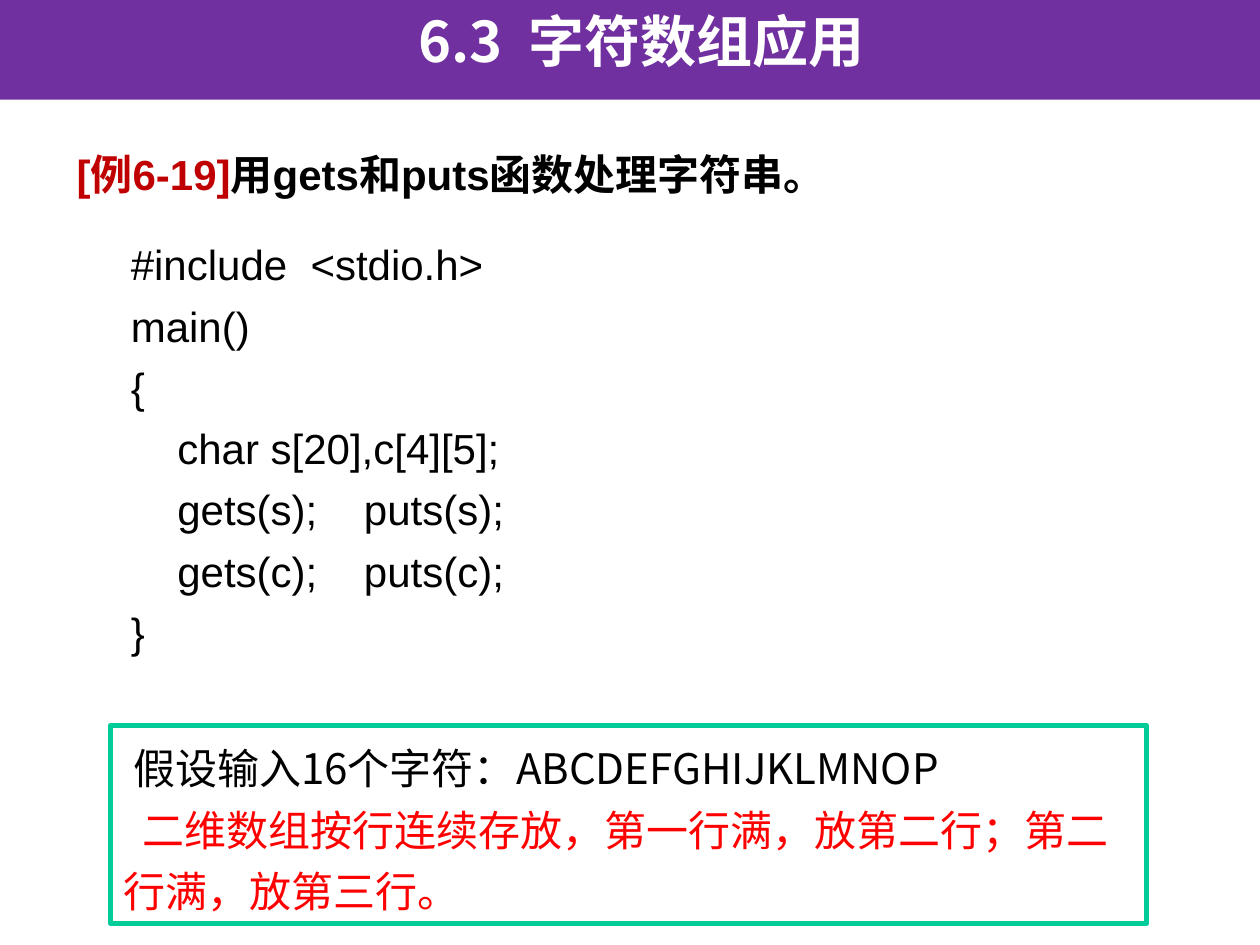
from dataclasses import dataclass

from lxml.etree import SubElement
from pptx import Presentation
from pptx.dml.color import RGBColor
from pptx.enum.shapes import MSO_SHAPE
from pptx.enum.text import MSO_ANCHOR, MSO_AUTO_SIZE, PP_ALIGN
from pptx.oxml.ns import qn
from pptx.util import Inches, Pt


@dataclass(frozen=True)
class Theme:
    band: RGBColor = RGBColor(0x70, 0x30, 0xA0)
    frame: RGBColor = RGBColor(0x00, 0xCC, 0x99)
    label: RGBColor = RGBColor(0xC0, 0x00, 0x00)
    answer: RGBColor = RGBColor(0xFF, 0x00, 0x00)
    text: RGBColor = RGBColor(0x00, 0x00, 0x00)
    white: RGBColor = RGBColor(0xFF, 0xFF, 0xFF)
    latin: str = "Arial"
    cjk: str = "Noto Sans CJK SC"
    title_size: Pt = Pt(32)
    body_size: Pt = Pt(24)
    line_height: Pt = Pt(35)


THEME = Theme()

CODE = """#include  <stdio.h>
main()
{
    char s[20],c[4][5];
    gets(s);    puts(s);
    gets(c);    puts(c);
}"""


def format_span(span, color, font_name, size=THEME.body_size, bold=False):
    span.font.size = size
    span.font.bold = bold
    span.font.name = font_name
    span.font.color.rgb = color
    east_asian = SubElement(span.font._element, qn("a:ea"))
    east_asian.set("typeface", THEME.cjk)


def indent(para, left=0.0, first_line=0.0):
    properties = para._p.get_or_add_pPr()
    properties.set("marL", str(Inches(left)))
    properties.set("indent", str(Inches(first_line)))


def prepare_frame(shape):
    frame = shape.text_frame
    frame.word_wrap = True
    frame.auto_size = MSO_AUTO_SIZE.NONE
    frame.vertical_anchor = MSO_ANCHOR.TOP
    return frame


def add_title(page, left, top, width, height):
    title = page.shapes.title
    title.left, title.top, title.width, title.height = left, top, width, height
    title.fill.solid()
    title.fill.fore_color.rgb = THEME.band
    frame = prepare_frame(title)
    frame.text = "6.3  字符数组应用"
    para = frame.paragraphs[0]
    para.alignment = PP_ALIGN.CENTER
    indent(para, left=0.2)
    format_span(para.runs[0], THEME.white, THEME.cjk, THEME.title_size, bold=True)


def add_example_heading(page, left, top, width, height):
    box = page.shapes.add_textbox(left, top, width, height)
    para = prepare_frame(box).paragraphs[0]
    for words, color in (
        ("[例6-19]", THEME.label),
        ("用gets和puts函数处理字符串。", THEME.text),
    ):
        span = para.add_run()
        span.text = words
        format_span(span, color, THEME.latin, bold=True)


def add_code(page, left, top, width, height):
    box = page.shapes.add_textbox(left, top, width, height)
    frame = prepare_frame(box)
    frame.text = CODE
    for para in frame.paragraphs:
        indent(para, left=0.2)
        para.line_spacing = THEME.line_height
        format_span(para.runs[0], THEME.text, THEME.latin)


def add_answer(page, left, top, width, height):
    box = page.shapes.add_shape(MSO_SHAPE.RECTANGLE, left, top, width, height)
    box.shadow.inherit = False
    box.fill.background()
    box.line.color.rgb = THEME.frame
    box.line.width = Pt(3)
    frame = prepare_frame(box)
    frame.text = (
        "假设输入16个字符：ABCDEFGHIJKLMNOP\n"
        "二维数组按行连续存放，第一行满，放第二行；第二行满，放第三行。"
    )
    styles = ((THEME.text, 0.08), (THEME.answer, 0.15))
    for para, (color, first_line) in zip(frame.paragraphs, styles):
        indent(para, first_line=first_line)
        para.alignment = PP_ALIGN.LEFT
        para.line_spacing = THEME.line_height
        format_span(para.runs[0], color, THEME.cjk)


def main():
    deck = Presentation()
    deck.slide_width, deck.slide_height = Inches(10), Inches(7.5)
    page = deck.slides.add_slide(deck.slide_layouts.get_by_name("Title Only"))
    add_title(page, Inches(-0.03), Inches(0), Inches(10.04), Inches(0.79))
    add_example_heading(page, Inches(0.51), Inches(1.13), Inches(6.93), Inches(0.5))
    add_code(page, Inches(0.74), Inches(1.76), Inches(8.53), Inches(3.59))
    add_answer(page, Inches(0.88), Inches(5.76), Inches(8.22), Inches(1.57))
    deck.save("out.pptx")


if __name__ == "__main__":
    main()
